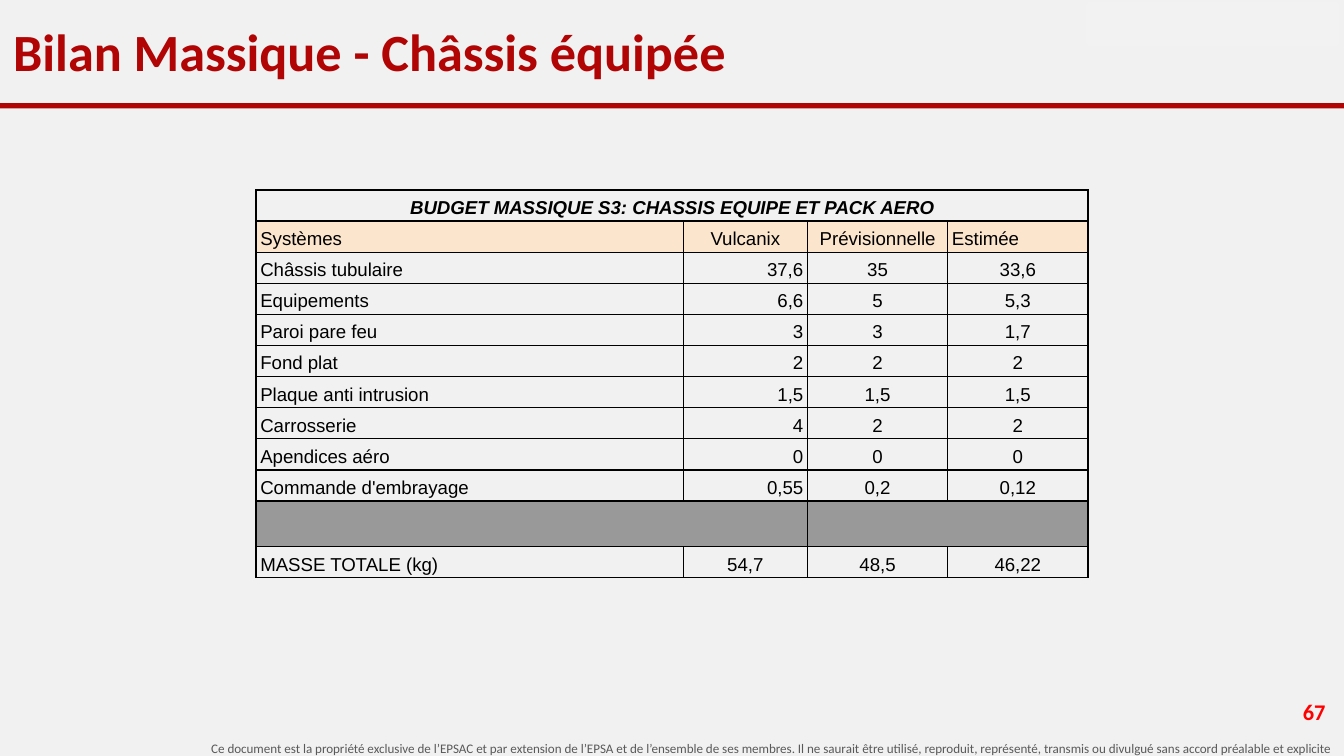
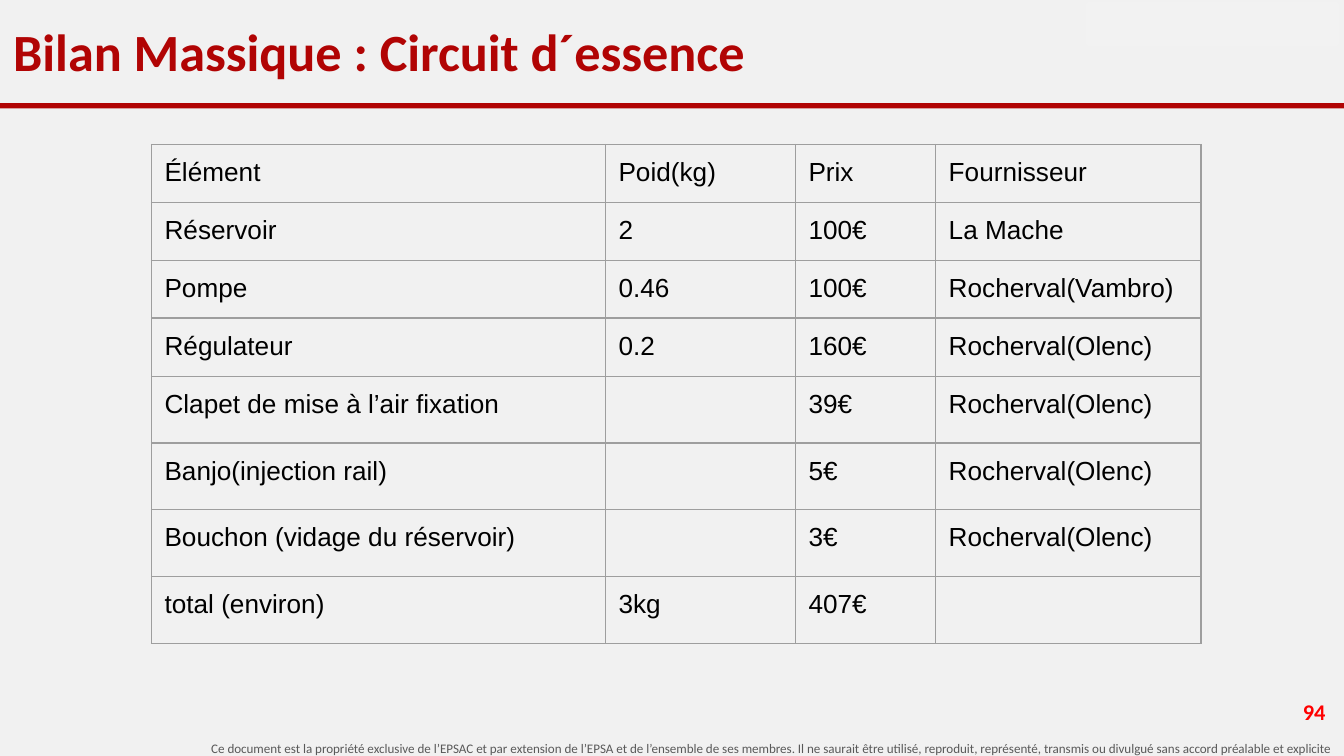
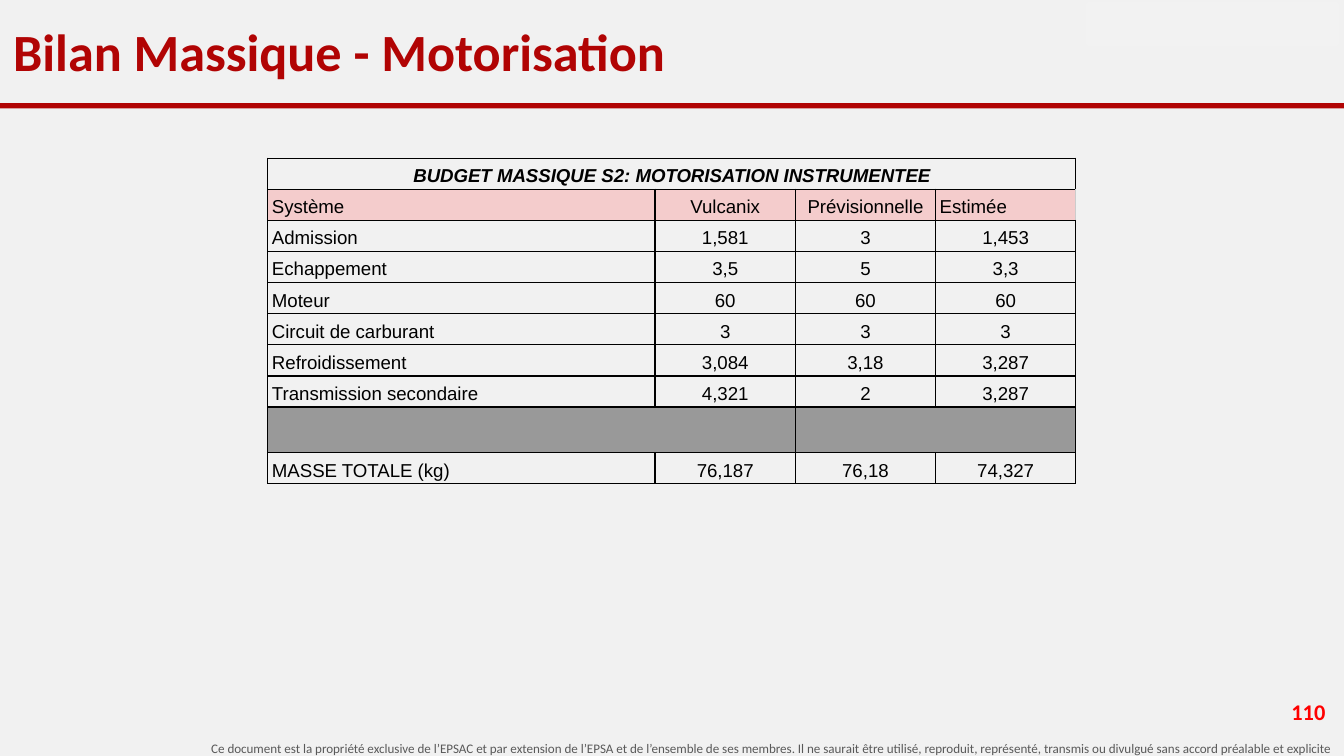
from lxml import etree
from pptx import Presentation
from pptx.dml.color import RGBColor
from pptx.enum.shapes import MSO_SHAPE
from pptx.enum.text import MSO_ANCHOR, PP_ALIGN
from pptx.oxml.ns import qn
from pptx.util import Cm, Pt

RECT = MSO_SHAPE.RECTANGLE
TOP, MIDDLE, BOTTOM = MSO_ANCHOR.TOP, MSO_ANCHOR.MIDDLE, MSO_ANCHOR.BOTTOM
ALIGN = {"l": PP_ALIGN.LEFT, "c": PP_ALIGN.CENTER, "r": PP_ALIGN.RIGHT}

WIDE, HIGH = 25.4, 14.29
PAPER, PATCH, BRAND = "F1F1F1", "F2F2F2", "B10404"
BLACK, GREY, PALE, RED, NOTE = "000000", "999999", "CCCCCC", "FF0000", "595959"
PEACH, PINK, RULE = "FCE5CD", "F4CCCC", "9E9E9E"
LEGAL = (
    "Ce document est la propriété exclusive de l’EPSAC et par extension de l’EPSA "
    "et de l’ensemble de ses membres. Il ne saurait être utilisé, reproduit, "
    "représenté, transmis ou divulgué sans accord préalable et explicite"
)

CHASSIS = [
    ["Systèmes", "Vulcanix", "Prévisionnelle", "Estimée"],
    ["Châssis tubulaire", "37,6", "35", "33,6"],
    ["Equipements", "6,6", "5", "5,3"],
    ["Paroi pare feu", "3", "3", "1,7"],
    ["Fond plat", "2", "2", "2"],
    ["Plaque anti intrusion", "1,5", "1,5", "1,5"],
    ["Carrosserie", "4", "2", "2"],
    ["Apendices aéro", "0", "0", "0"],
    ["Commande d'embrayage", "0,55", "0,2", "0,12"],
    ["MASSE TOTALE (kg)", "54,7", "48,5", "46,22"],
]
FUEL = [
    ["Élément", "Poid(kg)", "Prix", "Fournisseur"],
    ["Réservoir", "2", "100€", "La Mache"],
    ["Pompe", "0.46", "100€", "Rocherval(Vambro)"],
    ["Régulateur", "0.2", "160€", "Rocherval(Olenc)"],
    ["Clapet de mise à l’air fixation", "", "39€", "Rocherval(Olenc)"],
    ["Banjo(injection rail)", "", "5€", "Rocherval(Olenc)"],
    ["Bouchon (vidage du réservoir)", "", "3€", "Rocherval(Olenc)"],
    ["total (environ)", "3kg", "407€", ""],
]
MOTOR = [
    ["Système", "Vulcanix", "Prévisionnelle", "Estimée"],
    ["Admission", "1,581", "3", "1,453"],
    ["Echappement", "3,5", "5", "3,3"],
    ["Moteur", "60", "60", "60"],
    ["Circuit de carburant", "3", "3", "3"],
    ["Refroidissement", "3,084", "3,18", "3,287"],
    ["Transmission secondaire", "4,321", "2", "3,287"],
    ["MASSE TOTALE (kg)", "76,187", "76,18", "74,327"],
]


def paint(target, tone):
    """Give a fill or a font colour a hex tone."""
    if hasattr(target, "solid"):
        target.solid()
        target = target.fore_color
    target.rgb = RGBColor.from_string(tone)


def style(para, size, face, tone, bold=False, slant=False):
    """Format the runs of a paragraph."""
    for run in para.runs:
        font = run.font
        font.size, font.name = Pt(size), face
        font.bold, font.italic = bold, slant
        paint(font.color, tone)


def label(slide, text, box, size, tone, align="l", anchor=MIDDLE, bold=True, pad=0.13):
    """Add a one-paragraph text box."""
    frame = slide.shapes.add_textbox(*map(Cm, box)).text_frame
    frame.word_wrap = True
    frame.vertical_anchor = anchor
    frame.margin_left = frame.margin_right = Cm(0.25)
    frame.margin_top = frame.margin_bottom = Cm(pad)
    frame.text = text
    para = frame.paragraphs[0]
    para.alignment = ALIGN[align]
    style(para, size, "Calibri", tone, bold)


def block(slide, box, tone, edge=0):
    """Add a plain rectangle, outlined when edge is set."""
    shape = slide.shapes.add_shape(RECT, *map(Cm, box))
    shape.shadow.inherit = False
    paint(shape.fill, tone)
    if edge:
        paint(shape.line.fill, tone)
        shape.line.width = Pt(edge)
    else:
        shape.line.fill.background()


def page(deck, title, number):
    """Add a slide with the shared bands, title, number and footer."""
    slide = deck.slides.add_slide(deck.slide_layouts[6])
    paint(slide.background.fill, PAPER)
    label(slide, LEGAL, (0, 13.87, WIDE, 0.56), 7, NOTE, "r", TOP, False)
    block(slide, (0, 1.95, WIDE, 0.1), BRAND)
    block(slide, (20.57, 0.08, 4.7, 0.76), PATCH, 2)
    label(slide, str(number), (22.71, 13, 2.59, 0.91), 12, RED, "r")
    label(slide, title, (0, 0.05, WIDE, 1.83), 28, BRAND, pad=0.25)
    return slide


def border(cell, tone, sides="LRTB"):
    """Draw thin borders on the given sides of a cell."""
    props = cell._tc.get_or_add_tcPr()
    for side in sides:
        line = props.find(qn("a:ln" + side))
        if line is None:
            line = etree.SubElement(props, qn("a:ln" + side), w=str(Pt(0.75)))
        for child in list(line):
            line.remove(child)
        fill = etree.SubElement(line, qn("a:solidFill"))
        etree.SubElement(fill, qn("a:srgbClr"), val=tone)


def grid(slide, spot, cols, highs, rows, size, rule, pads, anchor=TOP):
    """Add a ruled table without fills and return it."""
    box = (*spot, sum(cols), sum(highs))
    table = slide.shapes.add_table(len(rows), len(cols), *map(Cm, box)).table
    table.first_row = table.horz_banding = False
    for col, width in zip(table.columns, cols):
        col.width = Cm(width)
    for row, high, texts in zip(table.rows, highs, rows):
        row.height = Cm(high)
        for cell, text in zip(row.cells, texts):
            cell.margin_left = cell.margin_right = Cm(pads[0])
            cell.margin_top = cell.margin_bottom = Cm(pads[1])
            cell.vertical_anchor = anchor
            border(cell, rule)
            cell.fill.background()
            cell.text = text
            para = cell.text_frame.paragraphs[0]
            if text:
                style(para, size, "Arial", BLACK)
            else:
                para.line_spacing = Pt(20)
    return table


def budget(slide, spot, cols, title, body, tint, first="c"):
    """Add a mass budget: title, tinted heads, items, grey gap and total."""
    gap = [""] * 4
    rows = [[title, "", "", ""], *body[:-1], gap, body[-1]]
    highs = [0.8 if row is gap else 0.56 for row in rows]
    table = grid(slide, spot, cols, highs, rows, 10, BLACK, (0.08, 0.05), BOTTOM)
    last = len(rows) - 1
    plans = {0: "cccc", 1: "lccl", last: "lccc"}
    for r, texts in enumerate(rows):
        plan = plans.get(r, f"l{first}cc")
        for c, text in enumerate(texts):
            cell = table.cell(r, c)
            if text:
                para = cell.text_frame.paragraphs[0]
                para.alignment = ALIGN[plan[c]]
                para.line_spacing = 1.15
            if r in (1, last - 1):
                paint(cell.fill, tint if r == 1 else GREY)
    style(table.cell(0, 0).text_frame.paragraphs[0], 10, "Arial", BLACK, True, True)
    for r, start, end in ((0, 0, 3), (last - 1, 0, 1), (last - 1, 2, 3)):
        table.cell(r, start).merge(table.cell(r, end))
    return table


def main():
    """Build the three slides and save them."""
    deck = Presentation()
    deck.slide_width, deck.slide_height = Cm(WIDE), Cm(HIGH)

    slide = page(deck, "Bilan Massique - Châssis équipée", 67)
    budget(slide, (4.84, 3.59), (8.07, 2.35, 2.65, 2.65),
           "BUDGET MASSIQUE S3: CHASSIS EQUIPE ET PACK AERO", CHASSIS, PEACH, "r")

    slide = page(deck, "Bilan Massique : Circuit d´essence", 94)
    highs = [1.06] * 3 + [1.1] + [1.21] * 4
    grid(slide, (2.86, 2.73), (8.58, 3.59, 2.65, 5.02), highs, FUEL, 14, RULE,
         (0.25, 0.25))

    slide = page(deck, "Bilan Massique - Motorisation", 110)
    table = budget(slide, (5.06, 2.99), (7.32, 2.65, 2.65, 2.65),
                   "BUDGET MASSIQUE S2: MOTORISATION INSTRUMENTEE", MOTOR, PINK)
    border(table.cell(1, 3), PALE, "R")

    deck.save("out.pptx")


if __name__ == "__main__":
    main()
